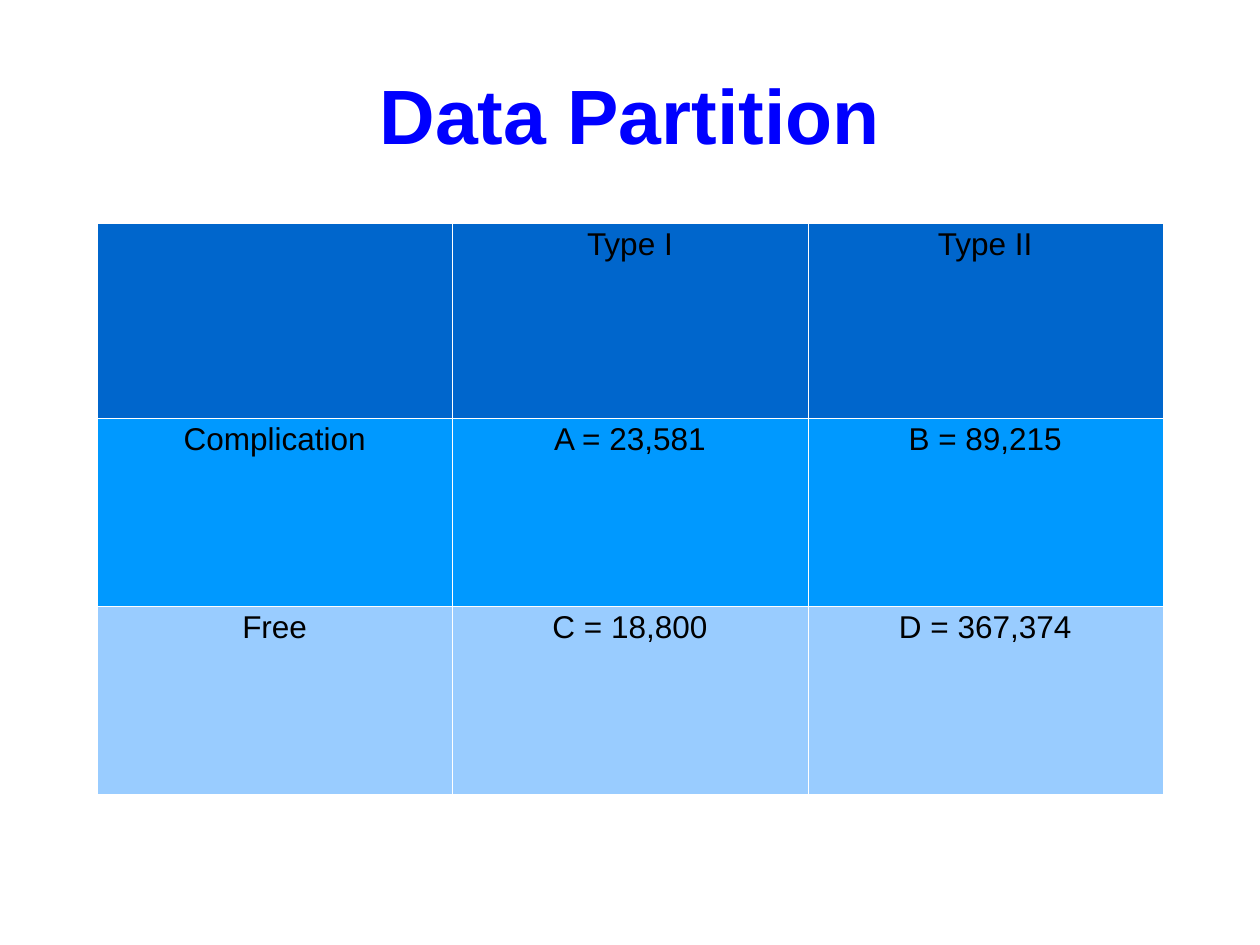
"""Build the Data Partition slide with its two-by-two table of counts."""
from lxml.etree import SubElement
from pptx import Presentation
from pptx.dml.color import RGBColor
from pptx.enum.text import MSO_ANCHOR, PP_ALIGN
from pptx.oxml.ns import qn
from pptx.util import Inches, Pt

WHITE = RGBColor(0xFF, 0xFF, 0xFF)
BLACK = RGBColor(0x00, 0x00, 0x00)
TITLE_BLUE = RGBColor(0x00, 0x00, 0xFF)
HEADER_BLUE = RGBColor(0x00, 0x66, 0xCC)
COMPLICATION_BLUE = RGBColor(0x00, 0x99, 0xFF)
FREE_BLUE = RGBColor(0x99, 0xCC, 0xFF)


def write(frame, text, size, color, bold=False):
    frame.text = text
    paragraph = frame.paragraphs[0]
    paragraph.alignment = PP_ALIGN.CENTER
    paragraph.line_spacing = 0.93
    font = paragraph.runs[0].font if text else paragraph.font
    font.name = "Arial"
    font.size = Pt(size)
    font.bold = bold
    font.color.rgb = color


def add_borders(cell):
    properties = cell._tc.get_or_add_tcPr()
    for side in ("a:lnL", "a:lnR", "a:lnT", "a:lnB"):
        line = SubElement(properties, qn(side), w=str(Pt(0.06)))
        fill = SubElement(line, qn("a:solidFill"))
        SubElement(fill, qn("a:srgbClr"), val=str(WHITE))


presentation = Presentation()
presentation.slide_width = Inches(10)
presentation.slide_height = Inches(7.5)
slide = presentation.slides.add_slide(presentation.slide_layouts[6])
slide.background.fill.solid()
slide.background.fill.fore_color.rgb = WHITE

title = slide.shapes.add_textbox(Inches(0.5), Inches(0.3), Inches(9), Inches(1.25))
title_frame = title.text_frame
title_frame.word_wrap = True
title_frame.vertical_anchor = MSO_ANCHOR.MIDDLE
title_frame.margin_top = Inches(0.09)
write(title_frame, "Data Partition", 44, TITLE_BLUE, bold=True)

partition_rows = [
    (1.55, HEADER_BLUE, ["", "Type I", "Type II"]),
    (1.49, COMPLICATION_BLUE, ["Complication", "A = 23,581", "B = 89,215"]),
    (1.49, FREE_BLUE, ["Free", "C = 18,800", "D = 367,374"]),
]
partition = slide.shapes.add_table(
    len(partition_rows), 3, Inches(0.77), Inches(1.77), Inches(8.46), Inches(4.53)
).table
partition.first_row = False
partition.horz_banding = False

for column in partition.columns:
    column.width = Inches(2.82)

for row, (height, color, labels) in zip(partition.rows, partition_rows):
    row.height = Inches(height)
    for cell, label in zip(row.cells, labels):
        add_borders(cell)
        cell.fill.solid()
        cell.fill.fore_color.rgb = color
        write(cell.text_frame, label, 18, BLACK)

presentation.save("out.pptx")
